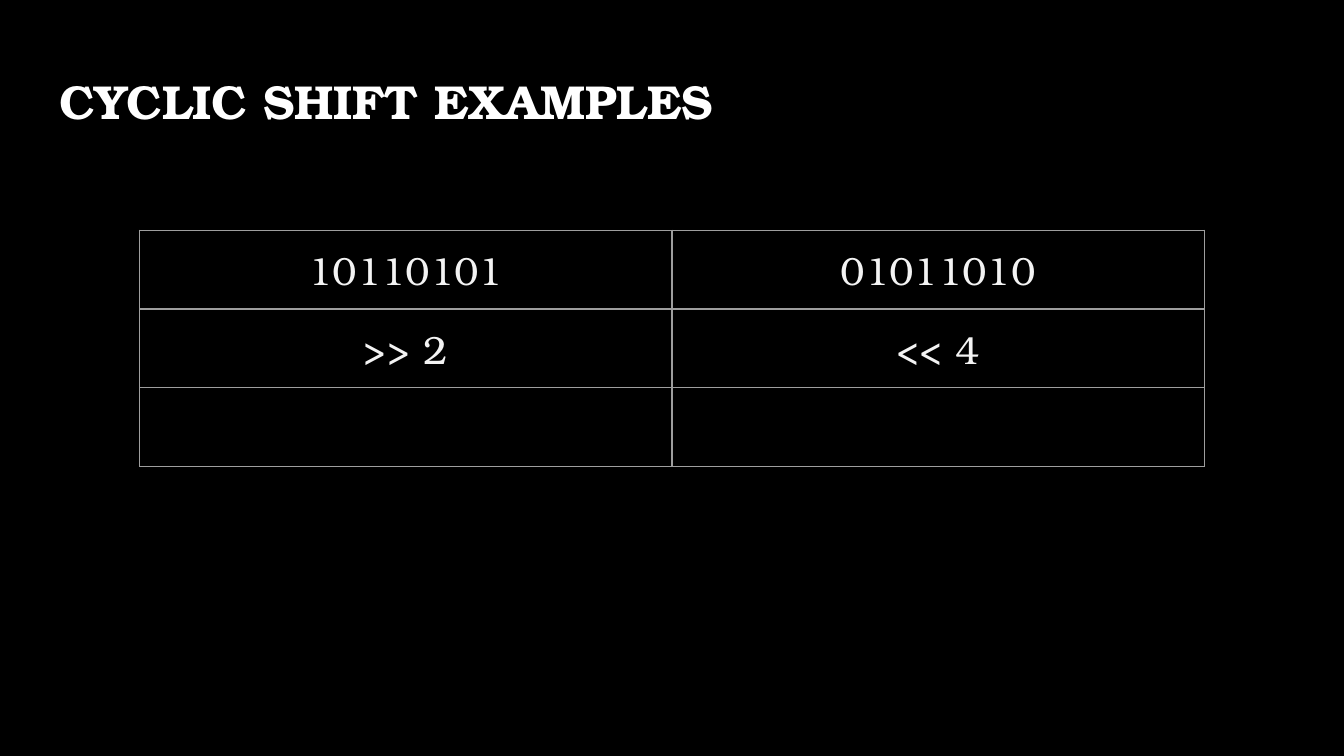
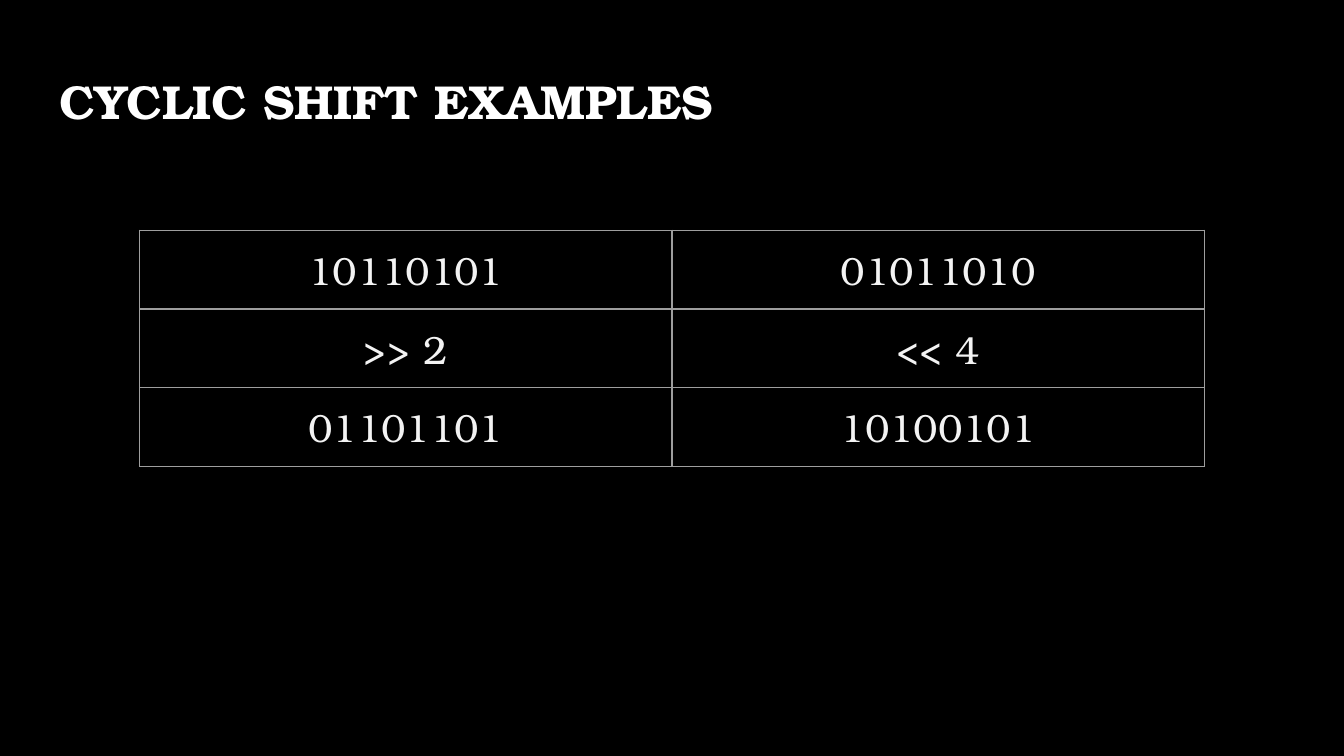
from lxml.etree import SubElement
from pptx import Presentation
from pptx.dml.color import RGBColor
from pptx.enum.text import MSO_ANCHOR, PP_ALIGN
from pptx.oxml.ns import qn
from pptx.util import Cm, Pt

# Shared look
FONT = "TeX Gyre Bonum"
BACKGROUND = "000000"
TITLE_COLOUR = "FFFFFF"
CELL_COLOUR = "F3F3F3"
BORDER_COLOUR = "9E9E9E"
PADDING = Cm(0.25)
COLUMN_WIDTH = Cm(10.06)
ROW_HEIGHT = Cm(1.49)

# Content
TITLE = "CYCLIC SHIFT EXAMPLES"
OPERANDS = ["10110101", "01011010"]
SHIFTS = [">> 2", "<< 4"]
RESULTS = ["01101101", "10100101"]
UNSOLVED = ["", ""]


def colour(hex_string):
    return RGBColor.from_string(hex_string)


def add_run(paragraph, text, size, hex_string, bold=False):
    run = paragraph.add_run()
    run.text = text
    run.font.name = FONT
    run.font.size = Pt(size)
    run.font.bold = bold
    run.font.color.rgb = colour(hex_string)


def set_padding(holder):
    holder.margin_left = holder.margin_right = PADDING
    holder.margin_top = holder.margin_bottom = PADDING


def add_title(slide, text):
    frame = slide.shapes.add_textbox(Cm(0.87), Cm(1.24), Cm(23.67), Cm(1.6)).text_frame
    frame.word_wrap = True
    set_padding(frame)
    heading = frame.paragraphs[0]
    heading.line_spacing = 0.9
    add_run(heading, text, 25.5, TITLE_COLOUR, bold=True)


def add_borders(cell):
    properties = cell._tc.get_or_add_tcPr()
    for side in ("a:lnL", "a:lnR", "a:lnT", "a:lnB"):
        border = SubElement(properties, qn(side), w=str(Pt(0.75)))
        fill = SubElement(border, qn("a:solidFill"))
        SubElement(fill, qn("a:srgbClr"), val=BORDER_COLOUR)


def fill_cell(cell, text):
    set_padding(cell)
    cell.vertical_anchor = MSO_ANCHOR.TOP
    add_borders(cell)
    cell.fill.background()
    if text:
        value = cell.text_frame.paragraphs[0]
        value.alignment = PP_ALIGN.CENTER
        add_run(value, text, 21, CELL_COLOUR)


def add_shift_table(slide, rows):
    columns = len(rows[0])
    table = slide.shapes.add_table(
        len(rows), columns, Cm(2.64), Cm(4.35),
        COLUMN_WIDTH * columns, ROW_HEIGHT * len(rows)).table
    table.first_row = False
    table.horz_banding = False
    for row_index, row in enumerate(rows):
        for column_index, text in enumerate(row):
            fill_cell(table.cell(row_index, column_index), text)


def add_example_slide(deck, results):
    slide = deck.slides.add_slide(deck.slide_layouts[6])
    slide.background.fill.solid()
    slide.background.fill.fore_color.rgb = colour(BACKGROUND)
    add_title(slide, TITLE)
    add_shift_table(slide, [OPERANDS, SHIFTS, results])


def main():
    deck = Presentation()
    deck.slide_width = Cm(25.4)
    deck.slide_height = Cm(14.29)
    # The exercise, then its solution
    for results in (UNSOLVED, RESULTS):
        add_example_slide(deck, results)
    deck.save("out.pptx")


if __name__ == "__main__":
    main()
